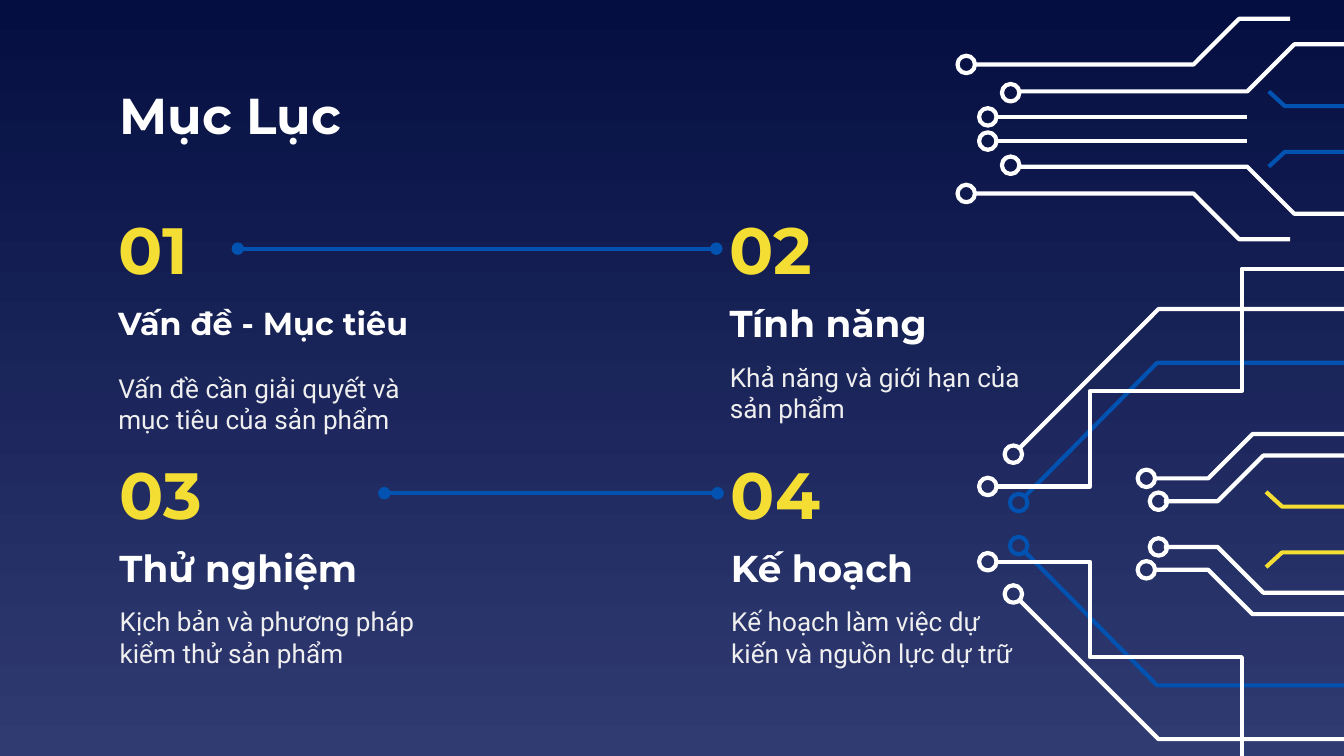
import pptx
import pptx.util
import pptx.dml.color
import pptx.enum.shapes
import pptx.enum.text
import pptx.oxml.ns
from pptx.util import Inches
from lxml import etree

WHITE, PALE, YELLOW, BLUE = "FFFFFF", "EFEFEF", "F5DE34", "0152B1"
NODE = 0.13

# Each trace: colour, node centre (or None), points.
# Points are (x from the left, distance from the mirror axis).
TOP_TRACES = [
    (WHITE, (0.06, 0.48), [(0.12, 0.48), (1.75, 0.48), (2.09, 0.82), (2.47, 0.82)]),
    (WHITE, (0.39, 0.27), [(0.45, 0.28), (2.15, 0.28), (2.5, 0.63), (3.12, 0.63)]),
    (WHITE, (0.22, 0.09), [(0.28, 0.09), (2.15, 0.09)]),
]
OUTER_TRACES = [
    (BLUE, (0.28, 0.16), [(0.32, 0.2), (1.31, 1.2), (2.89, 1.2)]),
    (WHITE, (0.05, 0.28), [(0.11, 0.28), (0.81, 0.28), (0.81, 0.99),
                           (1.94, 0.99), (1.94, 1.9), (2.9, 1.9)]),
    (WHITE, (0.24, 0.52), [(0.28, 0.56), (1.32, 1.6), (2.9, 1.6)]),
]
INNER_TRACES = [
    (WHITE, (0.17, 0.17), [(0.21, 0.17), (0.61, 0.17), (0.95, 0.51), (1.75, 0.51)]),
    (WHITE, (0.08, 0.34), [(0.13, 0.34), (0.54, 0.34), (0.87, 0.67), (1.75, 0.67)]),
]
PRONG = [(0, 0.28), (0.12, 0.17), (0.69, 0.17)]

# Left, top, number, heading, heading size, heading width, text, text height
SECTIONS = [
    (0.78, 1.56, "01", "Vấn đề - Mục tiêu", 17, 2.61,
     "Vấn đề cần giải quyết và mục tiêu của sản phẩm", 0.75),
    (5.33, 1.56, "02", "Tính năng", 20, 2.41,
     "Khả năng và giới hạn của sản phẩm", 0.58),
    (0.79, 3.38, "03", "Thử nghiệm", 20, 2.41,
     "Kịch bản và phương pháp kiểm thử sản phẩm", 0.58),
    (5.34, 3.38, "04", "Kế hoạch", 20, 2.41,
     "Kế hoạch làm việc dự kiến và nguồn lực dự trữ", 0.58),
]


def rgb(value):
    return pptx.dml.color.RGBColor.from_string(value)


def style_outline(shape, colour):
    shape.shadow.inherit = False
    shape.fill.background()
    shape.line.color.rgb = rgb(colour)
    shape.line.width = pptx.util.Pt(2.25)


def write(box, left, top, width, height, text, size, font, colour, bold):
    """Place a text shape and fill it with one formatted paragraph."""
    box.left, box.top = Inches(left), Inches(top)
    box.width, box.height = Inches(width), Inches(height)
    frame = box.text_frame
    frame.word_wrap = True
    frame.auto_size = pptx.enum.text.MSO_AUTO_SIZE.NONE
    frame.vertical_anchor = pptx.enum.text.MSO_ANCHOR.MIDDLE
    frame.margin_left = frame.margin_right = Inches(0.1)
    frame.margin_top = frame.margin_bottom = Inches(0.1)
    para = frame.paragraphs[0]
    para.text = text
    para.alignment = pptx.enum.text.PP_ALIGN.LEFT
    para.space_before = pptx.util.Pt(0)
    para.font.name, para.font.size = font, pptx.util.Pt(size)
    para.font.bold = bold
    para.font.color.rgb = rgb(colour)
    return para


def add_section(page, body, left, top, number, heading, size, width, text, height):
    """Add number, heading and description; return the number's box."""
    number_box = page.shapes.add_textbox(0, 0, 0, 0)
    write(number_box, left, top, 0.99, 0.58, number, 35, "Montserrat", YELLOW, True)
    heading_box = page.shapes.add_textbox(0, 0, 0, 0)
    write(heading_box, left, top + 0.58, width, 0.52, heading, size,
          "Montserrat", WHITE, True)
    para = write(body, left, top + 1.07, 2.41, height, text, 14, "Roboto", PALE, False)
    # No bullet or hanging indent
    props = para._p.get_or_add_pPr()
    props.set("marL", "0")
    props.set("indent", "0")
    etree.SubElement(props, pptx.oxml.ns.qn("a:buNone"))
    return number_box


def add_circuit(page, left, axis, traces):
    """Draw the traces above a horizontal axis and mirrored below it."""
    for side in (-1, 1):
        for colour, node, points in traces:
            corners = [(Inches(left + x), Inches(axis + side * y)) for x, y in points]
            builder = page.shapes.build_freeform(*corners[0])
            builder.add_line_segments(corners[1:], close=False)
            style_outline(builder.convert_to_shape(), colour)
            if node:
                ring = page.shapes.add_shape(
                    pptx.enum.shapes.MSO_SHAPE.OVAL,
                    Inches(left + node[0] - NODE / 2),
                    Inches(axis + side * node[1] - NODE / 2),
                    Inches(NODE), Inches(NODE))
                style_outline(ring, colour)


def add_link(page, start_x, y, end_box, start_box=None):
    """Draw a dotted-end line to the left side of a number."""
    link = page.shapes.add_connector(
        pptx.enum.shapes.MSO_CONNECTOR.STRAIGHT,
        Inches(start_x), Inches(y), end_box.left, Inches(y))
    if start_box is not None:
        link.begin_connect(start_box, 3)
    link.end_connect(end_box, 1)
    link.line.color.rgb = rgb(BLUE)
    link.line.width = pptx.util.Pt(2.25)
    outline = link.line._get_or_add_ln()
    for end in ("a:headEnd", "a:tailEnd"):
        etree.SubElement(outline, pptx.oxml.ns.qn(end), type="oval")
    etree.SubElement(link._element.spPr, pptx.oxml.ns.qn("a:effectLst"))


def build_contents(deck):
    page = deck.slides.add_slide(deck.slide_layouts[4])

    # Background
    fill = page.background.fill
    fill.gradient()
    fill.gradient_angle = 270
    for stop, position, colour in zip(fill.gradient_stops, (0, 1), ("040E41", "303B72")):
        stop.position = position
        stop.color.rgb = rgb(colour)

    # Inner circuit
    add_circuit(page, 8.45, 3.9, INNER_TRACES)
    add_circuit(page, 9.42, 3.94, [(YELLOW, None, PRONG)])
    add_circuit(page, 9.44, 0.96, [(BLUE, None, PRONG)])

    # Title and sections
    write(page.shapes.title, 0.79, 0.59, 5.87, 0.52, "Mục Lục", 27,
          "Montserrat", WHITE, True)
    bodies = [page.placeholders[index] for index in (1, 2, 3, 4)]
    numbers = [add_section(page, body, *section)
               for body, section in zip(bodies, SECTIONS)]

    # Outer and top circuits
    add_circuit(page, 7.3, 3.9, OUTER_TRACES)
    add_circuit(page, 7.13, 0.96, TOP_TRACES)

    # Links between numbers
    add_link(page, 1.77, 1.85, numbers[1], numbers[0])
    add_link(page, 2.86, 3.67, numbers[3])


def main():
    deck = pptx.Presentation()
    # Widescreen, 16:9
    deck.slide_width = Inches(10)
    deck.slide_height = deck.slide_width * 9 // 16
    build_contents(deck)
    deck.save("out.pptx")


if __name__ == "__main__":
    main()
